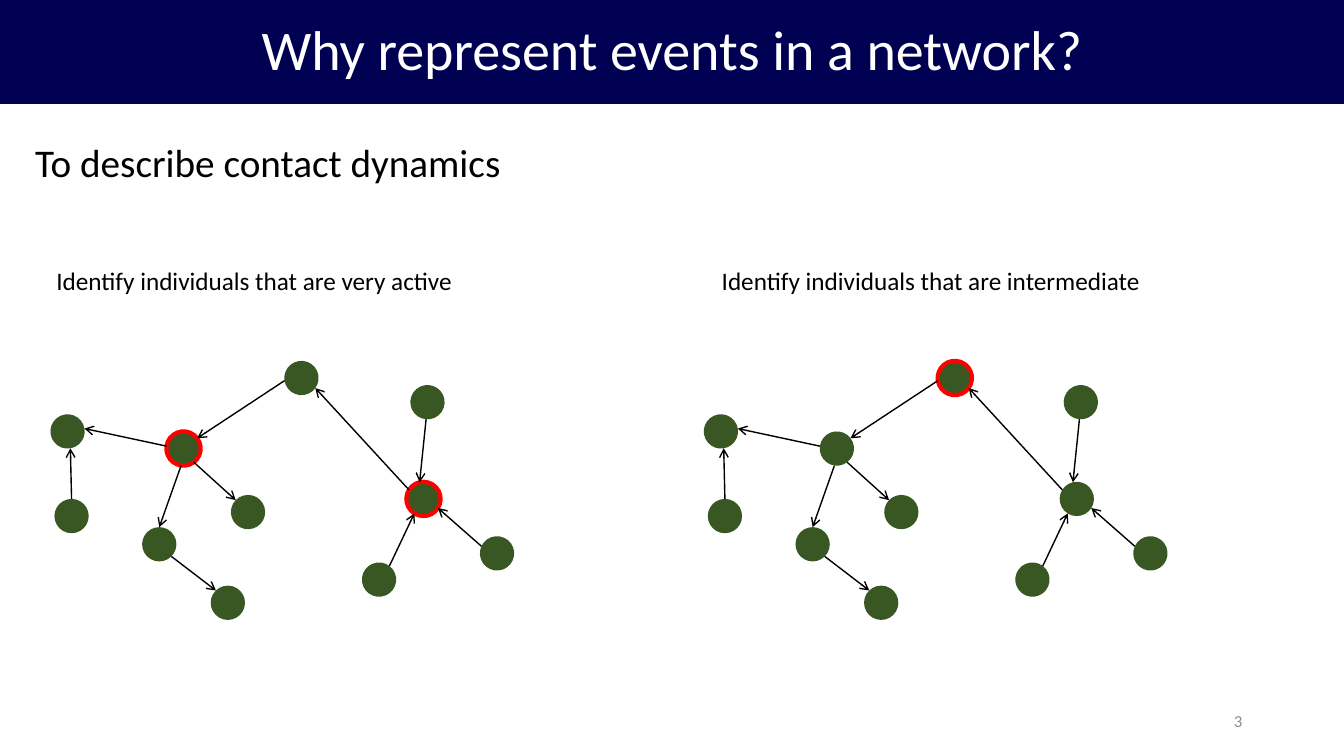
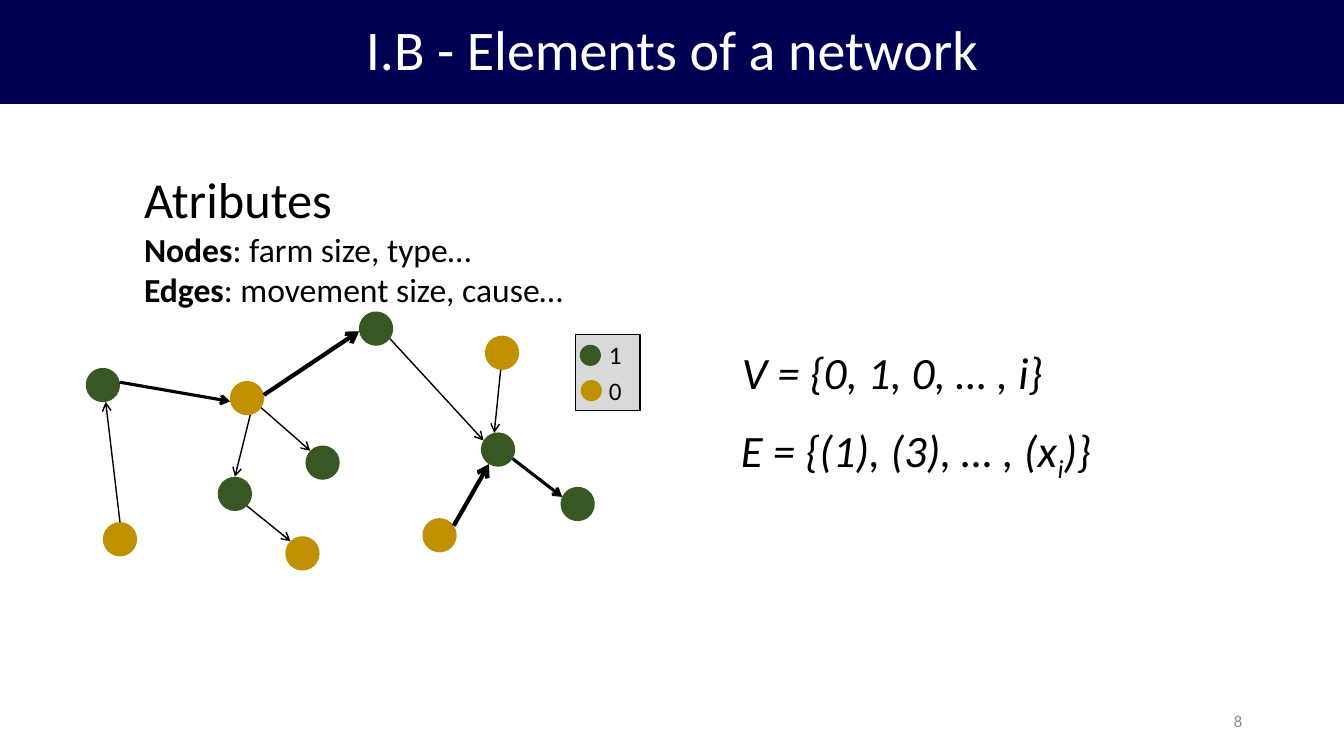
from math import atan2, cos, degrees, radians, sin

from lxml.etree import SubElement
from pptx import Presentation
from pptx.dml.color import RGBColor
from pptx.enum.shapes import MSO_CONNECTOR, MSO_SHAPE
from pptx.enum.text import MSO_ANCHOR, MSO_AUTO_SIZE, PP_ALIGN
from pptx.oxml.ns import qn
from pptx.util import Inches, Pt

NAVY = RGBColor(0x00, 0x00, 0x53)
WHITE = RGBColor(0xFF, 0xFF, 0xFF)
BLACK = RGBColor(0x00, 0x00, 0x00)
GREY = RGBColor(0x8C, 0x8C, 0x8C)
PALE = RGBColor(0xD9, 0xD9, 0xD9)
GREEN = RGBColor(0x38, 0x57, 0x23)
GOLD = RGBColor(0xBF, 0x90, 0x00)
RED = RGBColor(0xFF, 0x00, 0x00)
FONT = "Calibri"

SLIDE_W, SLIDE_H, BAND_H = 13.33, 7.5, 1.03
NODE_SIZE = 0.34
SITE_STEP = 45

# name: centre x, centre y, rotation
CONTACT_NODES = {
    "south": (1.58, 5.40, 0),
    "far south": (2.26, 5.98, 315.8),
    "feeder": (3.76, 5.75, 307.2),
    "east hub": (4.20, 4.95, 347.1),
    "west hub": (1.82, 4.45, 53),
    "west": (0.67, 4.28, 350.5),
    "far west": (0.71, 5.12, 0),
    "centre": (2.46, 5.08, 314.1),
    "bridge": (2.99, 3.75, 261),
    "north-east": (4.24, 3.99, 4.7),
    "east": (4.93, 5.49, 24.5),
}
CONTACT_EDGES = [
    ("west hub", "west", 1),
    ("far west", "west", 1),
    ("west hub", "south", 1),
    ("west hub", "centre", 1),
    ("bridge", "west hub", 1),
    ("south", "far south", 1),
    ("east hub", "bridge", 1),
    ("feeder", "east hub", 1),
    ("north-east", "east hub", 1),
    ("east", "east hub", 1),
]
# caption, caption left, caption width, network shift, highlighted nodes
CONTACT_PANELS = [
    ("Identify individuals that are very active", 0.46, 4.18, 0, ("west hub", "east hub")),
    ("Identify individuals that are intermediate", 7.06, 4.40, 6.48, ("bridge",)),
]

FARM_NODES = {
    "south": (2.33, 4.90, 0),
    "far south": (3.00, 5.49, 315.8),
    "feeder": (4.36, 5.31, 326),
    "east hub": (4.94, 4.46, 347.1),
    "west hub": (2.45, 3.95, 34.1),
    "west": (1.02, 3.82, 350.5),
    "far west": (1.19, 5.35, 0),
    "centre": (3.20, 4.59, 314.1),
    "bridge": (3.73, 3.26, 261),
    "north-east": (4.98, 3.50, 4.7),
    "east": (5.73, 5.00, 24.5),
}
FARM_EDGES = [
    ("west", "west hub", 2.25),
    ("far west", "west", 1),
    ("west hub", "south", 1),
    ("west hub", "centre", 1),
    ("west hub", "bridge", 3),
    ("south", "far south", 1),
    ("bridge", "east hub", 1),
    ("feeder", "east hub", 3),
    ("north-east", "east hub", 1),
    ("east hub", "east", 2.25),
]
TYPE_ZERO_FARMS = ("far south", "feeder", "west hub", "far west", "north-east")

ATTRIBUTES = [
    (36, [("Atributes", "")]),
    (24, [("Nodes", "bold"), (": farm size, type…", "")]),
    (24, [("Edges", "bold"), (": movement size, cause…", "")]),
]
NODE_SET = [(32, [("V = {0, 1, 0, … , i}", "italic")])]
EDGE_SET = [(32, [("E = {(1), (3), … , (x", "italic"), ("i", "italic sub"), (")}", "italic")])]
LEGEND = [("1", GREEN, 5.75), ("0", GOLD, 5.76)]


def add_slide(deck, title, number):
    slide = deck.slides.add_slide(deck.slide_layouts[5])
    band = slide.shapes.title
    band.left, band.top = Inches(0), Inches(0)
    band.width, band.height = Inches(SLIDE_W), Inches(BAND_H)
    band.fill.solid()
    band.fill.fore_color.rgb = NAVY
    frame = band.text_frame
    frame.text = title
    frame.auto_size = MSO_AUTO_SIZE.NONE
    frame.vertical_anchor = MSO_ANCHOR.MIDDLE
    heading = frame.paragraphs[0]
    heading.alignment = PP_ALIGN.CENTER
    heading.line_spacing = 0.9
    set_font(heading.font, 40, WHITE)

    page = add_text(slide, (9.42, 6.95, 3, 0.4), [(12, [(number, "")])], GREY)
    page.word_wrap = True
    page.auto_size = MSO_AUTO_SIZE.NONE
    page.vertical_anchor = MSO_ANCHOR.MIDDLE
    page.paragraphs[0].alignment = PP_ALIGN.RIGHT
    return slide


def set_font(font, size, color):
    font.name = FONT
    font.size = Pt(size)
    font.color.rgb = color


def add_text(slide, box, lines, color=BLACK):
    frame = slide.shapes.add_textbox(*map(Inches, box)).text_frame
    frame.word_wrap = False
    frame.auto_size = MSO_AUTO_SIZE.SHAPE_TO_FIT_TEXT
    for index, (size, pieces) in enumerate(lines):
        paragraph = frame.add_paragraph() if index else frame.paragraphs[0]
        set_font(paragraph.font, size, color)
        for text, style in pieces:
            run = paragraph.add_run()
            run.text = text
            if "bold" in style:
                run.font.bold = True
            if "italic" in style:
                run.font.italic = True
            if "sub" in style:
                run._r.get_or_add_rPr().set("baseline", "-25000")
    return frame


def add_figure(slide, preset, box, fill, line=None, line_width=1):
    figure = slide.shapes.add_shape(preset, *map(Inches, box))
    figure.shadow.inherit = False
    figure.fill.solid()
    figure.fill.fore_color.rgb = fill
    if line is None:
        figure.line.fill.background()
    else:
        figure.line.color.rgb = line
        figure.line.width = Pt(line_width)
    return figure


def attach_point(node, other):
    x, y, rotation = node
    bearing = degrees(atan2(other[1] - y, other[0] - x))
    site = radians(rotation + SITE_STEP * round((bearing - rotation) / SITE_STEP))
    radius = NODE_SIZE / 2
    return Inches(x + radius * cos(site)), Inches(y + radius * sin(site))


def add_arrow(slide, start, end, width):
    points = attach_point(start, end) + attach_point(end, start)
    arrow = slide.shapes.add_connector(MSO_CONNECTOR.STRAIGHT, *points)
    arrow.line.color.rgb = BLACK
    arrow.line.width = Pt(width)
    SubElement(arrow.line._get_or_add_ln(), qn("a:tailEnd"), type="arrow")
    SubElement(arrow._element.spPr, qn("a:effectLst"))


def add_network(slide, nodes, edges, shift=0, highlighted=(), gold=()):
    placed = {name: (x + shift, y, rotation) for name, (x, y, rotation) in nodes.items()}
    for name, (x, y, rotation) in placed.items():
        box = (x - NODE_SIZE / 2, y - NODE_SIZE / 2, NODE_SIZE, NODE_SIZE)
        fill = GOLD if name in gold else GREEN
        ring = RED if name in highlighted else None
        add_figure(slide, MSO_SHAPE.OVAL, box, fill, ring, 3).rotation = rotation
    for source, target, width in edges:
        add_arrow(slide, placed[source], placed[target], width)


def build_contacts(deck):
    slide = add_slide(deck, "Why represent events in a network?", "3")
    add_text(slide, (0.25, 1.32, 4.87, 0.57), [(28, [("To describe contact dynamics", "")])])
    for caption, left, width, shift, highlighted in CONTACT_PANELS:
        add_network(slide, CONTACT_NODES, CONTACT_EDGES, shift, highlighted)
        add_text(slide, (left, 2.58, width, 0.4), [(18, [(caption, "")])])


def build_elements(deck):
    slide = add_slide(deck, "I.B - Elements of a network", "8")
    add_text(slide, (1.33, 1.62, 4.42, 1.51), ATTRIBUTES)
    add_network(slide, FARM_NODES, FARM_EDGES, gold=TYPE_ZERO_FARMS)
    add_text(slide, (7.26, 3.37, 3.22, 0.64), NODE_SET)
    add_text(slide, (7.25, 4.14, 3.76, 0.64), EDGE_SET)
    add_figure(slide, MSO_SHAPE.RECTANGLE, (5.71, 3.32, 0.64, 0.75), PALE, BLACK)
    for row, (label, color, left) in enumerate(LEGEND):
        top = 3.32 + 0.35 * row
        add_figure(slide, MSO_SHAPE.OVAL, (left, top + 0.1, 0.21, 0.21), color)
        add_text(slide, (5.94, top, 0.33, 0.4), [(18, [(label, "")])])


def main():
    deck = Presentation()
    deck.slide_width, deck.slide_height = Inches(SLIDE_W), Inches(SLIDE_H)
    build_contacts(deck)
    build_elements(deck)
    deck.save("out.pptx")


if __name__ == "__main__":
    main()
